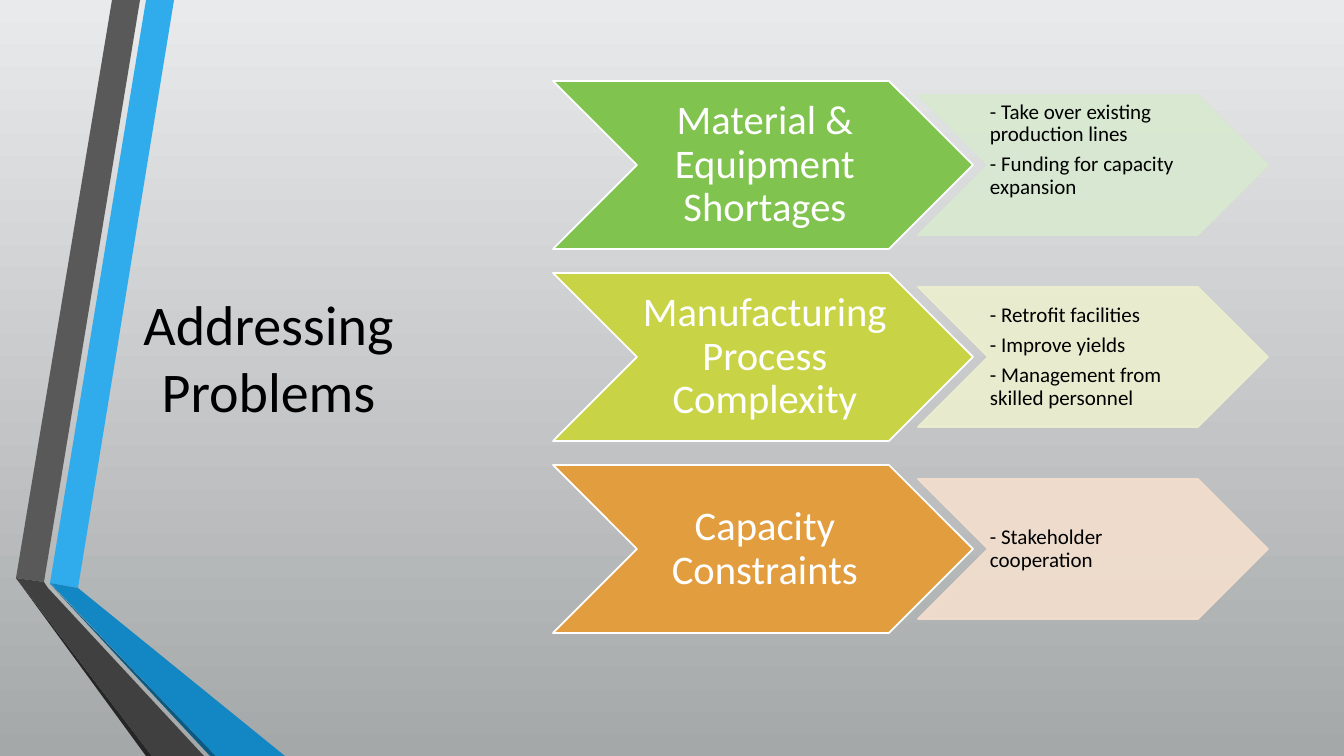
import pptx
import pptx.util
import pptx.dml.color
import pptx.enum.shapes
import pptx.enum.text
import pptx.oxml
import pptx.oxml.ns
from dataclasses import dataclass

HEADING = "Addressing Problems"

PROBLEMS = [
    {"label": "Material & Equipment Shortages",
     "actions": ["- Take over existing production lines", "- Funding for capacity expansion"],
     "color": "80C34F", "tint": "D8E9D0", "lift": 30},
    {"label": "Manufacturing Process Complexity",
     "actions": ["- Retrofit facilities", "- Improve yields", "- Management from skilled personnel"],
     "color": "C8D346", "tint": "EDEFCF", "lift": 0},
    {"label": "Capacity Constraints",
     "actions": ["- Stakeholder cooperation"],
     "color": "E29D3E", "tint": "F4DFCE", "lift": 0},
]

RIBBONS = [
    ("30ACEC", [(50, 583), (78, 588), (174, 0), (146, 0)]),
    ("595959", [(140, 0), (112, 0), (16, 578), (44, 582)]),
    ("262626", [(16, 578), (146, 756), (152, 756)]),
    ("0C5A82", [(50, 584), (210, 756), (216, 756)]),
    ("1287C3", [(50, 583), (216, 756), (285, 756), (78, 588)]),
    ("404040", [(204, 756), (48, 588), (44, 582), (16, 578), (152, 756)]),
]


@dataclass(frozen=True)
class Theme:
    font: str = "Calibri"
    sky: str = "E9EAEB"
    ground: str = "A5A8A9"
    ink: str = "000000"
    paper: str = "FFFFFF"
    heading_size: int = 40
    label_size: int = 29
    action_size: int = 15
    outline: float = 1.25
    tint_alpha: int = 90


THEME = Theme()
SLIDE_W, SLIDE_H = 1344, 756
EMU_PER_PX = 12192000 / SLIDE_W
HEADING_BOX = (123, 76, 291, 562)
LABEL_LEFT, LABEL_TOP, LABEL_W, LABEL_H = 553, 81, 420, 168
ACTION_LEFT, ACTION_W, ACTION_H = 918, 350, 140
ROW_PITCH = 192
LEFT = pptx.enum.text.PP_ALIGN.LEFT
CENTER = pptx.enum.text.PP_ALIGN.CENTER


def px(value):
    return pptx.util.Emu(round(value * EMU_PER_PX))


def rgb(color):
    return pptx.dml.color.RGBColor.from_string(color)


def add_ribbon(slide, color, points):
    builder = slide.shapes.build_freeform(*points[0], scale=EMU_PER_PX)
    builder.add_line_segments(points[1:], close=True)
    ribbon = builder.convert_to_shape()
    ribbon.shadow.inherit = False
    ribbon.fill.solid()
    ribbon.fill.fore_color.rgb = rgb(color)
    ribbon.line.fill.background()


def add_chevron(slide, box, fill, outline, alpha=100):
    chevron = slide.shapes.add_shape(
        pptx.enum.shapes.MSO_SHAPE.CHEVRON, *map(px, box))
    chevron.shadow.inherit = False
    chevron.fill.solid()
    chevron.fill.fore_color.rgb = rgb(fill)
    chevron.line.color.rgb = rgb(outline)
    chevron.line.width = pptx.util.Pt(THEME.outline)
    if alpha < 100:
        for color in chevron.element.spPr.iter(pptx.oxml.ns.qn("a:srgbClr")):
            opacity = pptx.oxml.parse_xml(
                f'<a:alpha {pptx.oxml.ns.nsdecls("a")} val="{alpha * 1000}"/>')
            color.append(opacity)


def add_text(slide, box, lines, size, color, align, insets, line_spacing=1.0, gap=0.0):
    frame = slide.shapes.add_textbox(*map(px, box)).text_frame
    frame.word_wrap = True
    frame.vertical_anchor = pptx.enum.text.MSO_ANCHOR.MIDDLE
    frame.margin_left, frame.margin_top, frame.margin_right, frame.margin_bottom = map(px, insets)
    for index, line in enumerate(lines):
        paragraph = frame.add_paragraph() if index else frame.paragraphs[0]
        paragraph.alignment = align
        paragraph.line_spacing = line_spacing
        paragraph.space_after = pptx.util.Pt(size * gap)
        run = paragraph.add_run()
        run.text = line
        run.font.name = THEME.font
        run.font.size = pptx.util.Pt(size)
        run.font.color.rgb = rgb(color)


def inner_box(left, top, width, height):
    return left + height / 2, top, width - height, height


def add_problem(slide, row, problem):
    top = LABEL_TOP + row * ROW_PITCH
    label_box = (LABEL_LEFT, top, LABEL_W, LABEL_H)
    action_box = (ACTION_LEFT, top + (LABEL_H - ACTION_H) / 2, ACTION_W, ACTION_H)
    add_chevron(slide, label_box, problem["color"], THEME.paper)
    add_text(slide, inner_box(*label_box), [problem["label"]], THEME.label_size,
             THEME.paper, CENTER, (4, 2, 0, 2), 0.9, 0.35)
    add_chevron(slide, action_box, problem["tint"], problem["tint"], THEME.tint_alpha)
    add_text(slide, inner_box(*action_box), problem["actions"], THEME.action_size,
             THEME.ink, LEFT, (2, 1, 0, 1 + problem["lift"]), 0.9, 0.35)


def main():
    deck = pptx.Presentation()
    deck.slide_width, deck.slide_height = px(SLIDE_W), px(SLIDE_H)
    slide = deck.slides.add_slide(deck.slide_layouts[6])
    backdrop = slide.background.fill
    backdrop.gradient()
    backdrop.gradient_angle = 270
    for stop, color in zip(backdrop.gradient_stops, (THEME.sky, THEME.ground)):
        stop.color.rgb = rgb(color)
    for color, points in RIBBONS:
        add_ribbon(slide, color, points)
    add_text(slide, HEADING_BOX, [HEADING], THEME.heading_size, THEME.ink, CENTER, (10, 5, 10, 5))
    for row, problem in enumerate(PROBLEMS):
        add_problem(slide, row, problem)
    deck.save("out.pptx")


if __name__ == "__main__":
    main()
